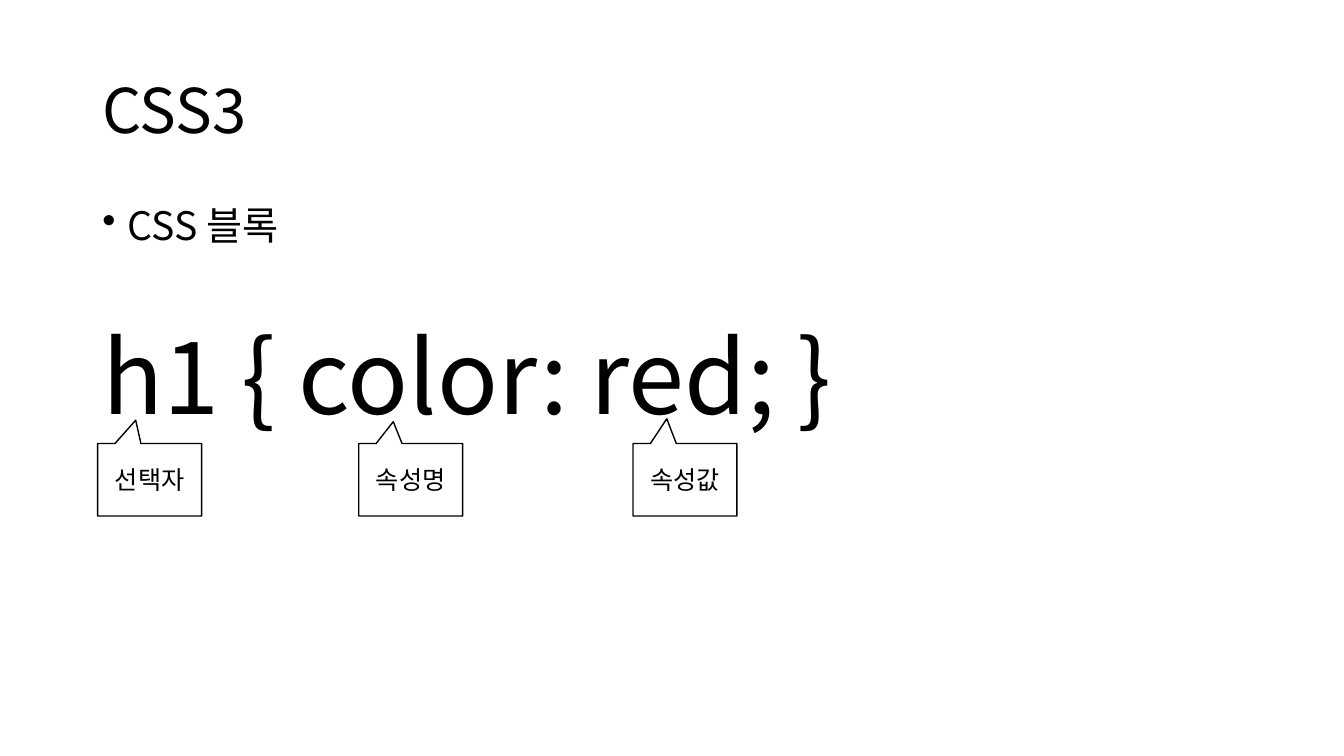
import pptx
import pptx.util
import pptx.dml.color
import pptx.enum.shapes
import pptx.enum.text
import pptx.oxml
import pptx.oxml.ns
import lxml.etree

Pt = pptx.util.Pt
qn = pptx.oxml.ns.qn
align = pptx.enum.text.PP_ALIGN
anchor = pptx.enum.text.MSO_ANCHOR
font = "Noto Sans CJK KR"
colors = {
    name: pptx.dml.color.RGBColor.from_string(code)
    for name, code in {"ink": "000000", "paper": "FFFFFF"}.items()
}


def write(para, text, size=18, side=align.LEFT, line=1.0, gap=0, bullet=None):
    para.alignment = side
    para.line_spacing = line
    para.space_before = Pt(gap)
    run = para.add_run()
    run.text = text
    run.font.size = Pt(size)
    run.font.color.rgb = colors["ink"]
    run.font.name = font
    east = lxml.etree.SubElement(run.font._element, qn("a:ea"))
    east.set("typeface", font)
    if bullet:
        props = para._p.get_or_add_pPr()
        props.set("marL", str(Pt(18)))
        props.set("indent", str(-Pt(18)))
        mark = lxml.etree.SubElement(props, qn("a:buChar"))
        mark.set("char", bullet)


deck = pptx.Presentation()
deck.slide_width, deck.slide_height = Pt(960), Pt(540)
slide = deck.slides.add_slide(deck.slide_layouts[6])

# Title
title = slide.shapes.add_textbox(Pt(66), Pt(28.8), Pt(828), Pt(104.4)).text_frame
title.word_wrap = True
title.vertical_anchor = anchor.MIDDLE
write(title.paragraphs[0], "CSS3", size=44, line=0.9)

# Topic and code sample
body = slide.shapes.add_textbox(Pt(66), Pt(143.75), Pt(828), Pt(342.7)).text_frame
body.word_wrap = True
write(body.paragraphs[0], "CSS 블록", size=28, line=0.9, bullet="•")
write(body.add_paragraph(), "h1 { color: red; }", size=72, line=0.9, gap=56.5)

# Callouts naming the parts of the code: label, left, pointer tip
parts = [
    ("선택자", 69.8, -0.134, -0.822),
    ("속성명", 256.3, -0.168, -0.802),
    ("속성값", 452.2, -0.175, -0.841),
]
for label, left, tip_x, tip_y in parts:
    note = slide.shapes.add_shape(
        pptx.enum.shapes.MSO_SHAPE.RECTANGULAR_CALLOUT,
        Pt(left), Pt(316.8), Pt(74.2), Pt(51.8))
    note.adjustments[0], note.adjustments[1] = tip_x, tip_y
    note.shadow.inherit = False
    note.fill.solid()
    note.fill.fore_color.rgb = colors["paper"]
    note.line.color.rgb = colors["ink"]
    note.line.width = Pt(1)
    note.text_frame.word_wrap = True
    note.text_frame.vertical_anchor = anchor.MIDDLE
    write(note.text_frame.paragraphs[0], label, side=align.CENTER)

deck.save("out.pptx")
